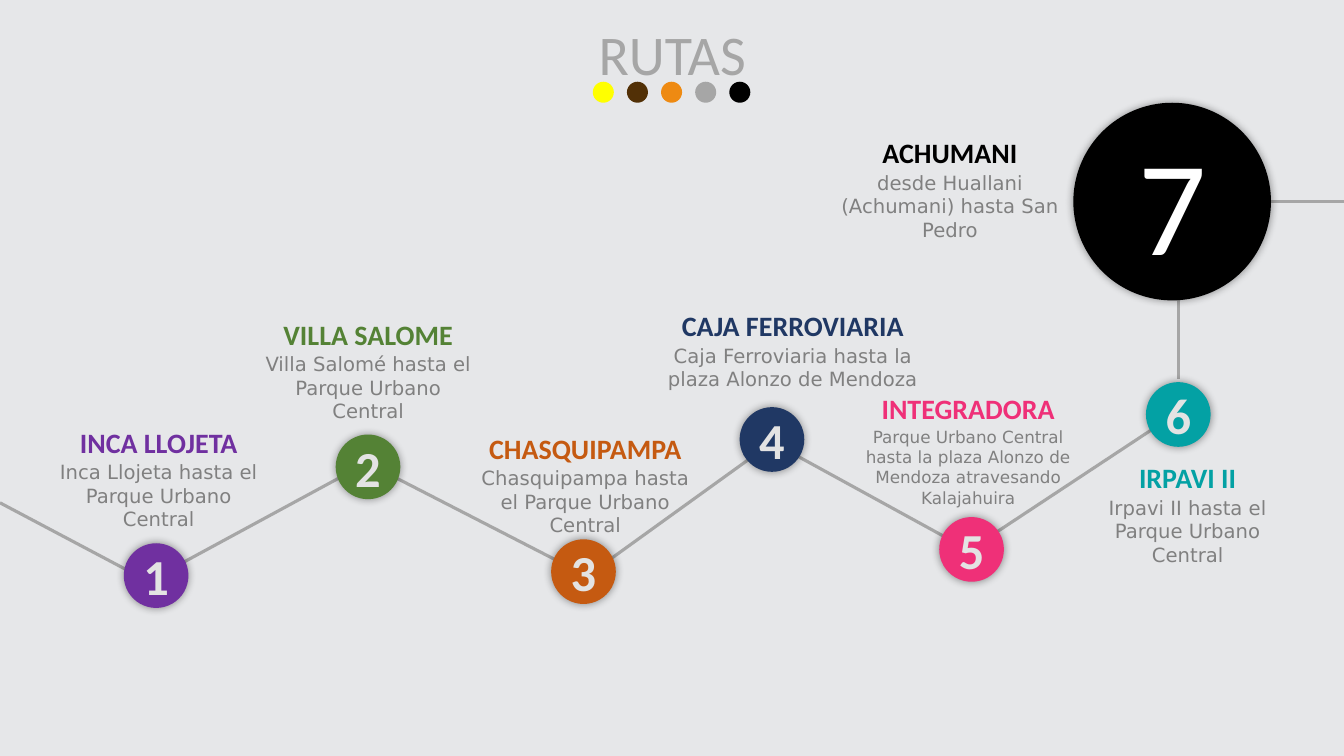
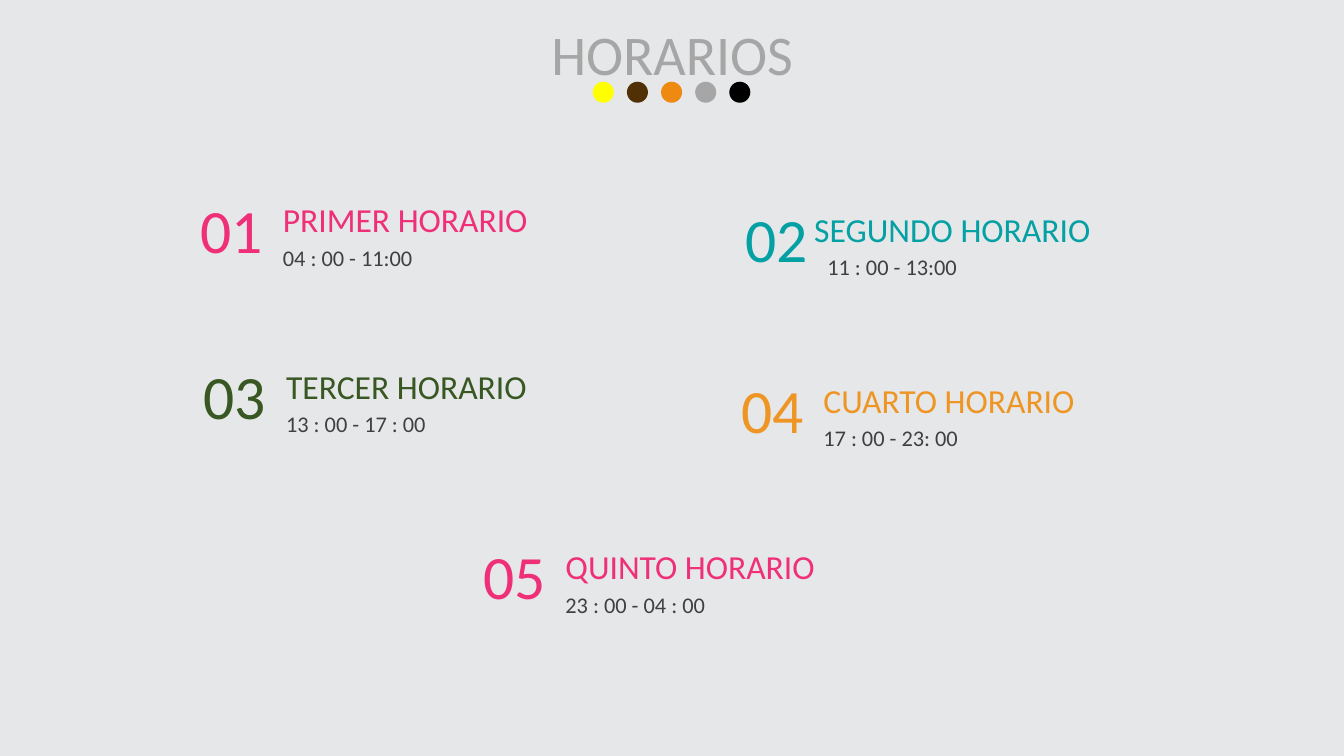
"""Build the two slides with the routes and the timetable."""
import pptx
import pptx.dml.color
import pptx.enum.shapes
import pptx.enum.text
import pptx.oxml
import pptx.oxml.ns
import pptx.oxml.xmlchemy
import pptx.util

Cm = pptx.util.Cm
Pt = pptx.util.Pt
ALIGN = pptx.enum.text.PP_ALIGN

COLORS = {
    "background": "E6E7E9", "gray": "A6A6A6", "body": "808080", "time": "404040",
    "number": "E3E3E3", "white": "FFFFFF", "black": "000000", "yellow": "FFFF00",
    "brown": "523006", "orange": "EE8A12", "amber": "EE9524", "purple": "7030A0",
    "green": "548235", "forest": "385723", "rust": "C55A11", "navy": "203864",
    "pink": "EF3078", "teal": "03A1A4",
}
DOTS = ["yellow", "brown", "orange", "gray", "black"]
SHADOW = (
    '<a:outerShdw xmlns:a="http://schemas.openxmlformats.org/drawingml/2006/main" '
    'blurRad="76200" dist="0" algn="ctr" rotWithShape="0">'
    '<a:srgbClr val="000000"><a:alpha val="40000"/></a:srgbClr></a:outerShdw>'
)
LINES = [
    (29.69, 7.32, 29.69, 9.55), (3.76, 14.66, 0, 12.67),
    (14.91, 14.43, 19.28, 11.28), (24.38, 13.84, 19.38, 11.1),
    (24.84, 13.59, 29.49, 10.52), (14.63, 14.43, 9.88, 11.99),
    (4.14, 14.43, 9.07, 11.76), (32.03, 5.08, 33.87, 5.08),
]
STOPS = [
    ("purple", (3.12, 13.69), (1.04, 10.59, 5.92), "INCA LLOJETA",
     "Inca Llojeta hasta el Parque Urbano Central", 14),
    ("green", (8.46, 10.95), (6.32, 7.87, 5.92), "VILLA SALOME",
     "Villa Salomé hasta el Parque Urbano Central", 14),
    ("rust", (13.89, 13.59), (11.79, 10.74, 5.92), "CHASQUIPAMPA",
     "Chasquipampa hasta el Parque Urbano Central", 14),
    ("navy", (18.64, 10.26), (16.54, 7.65, 6.88), "CAJA FERROVIARIA",
     "Caja Ferroviaria hasta la plaza Alonzo de Mendoza", 14),
    ("pink", (23.67, 13.03), (21.44, 9.75, 5.92), "INTEGRADORA",
     "Parque Urbano Central hasta la plaza Alonzo de Mendoza atravesando Kalajahuira", 12),
    ("teal", (28.88, 9.63), (26.97, 11.48, 5.92), "IRPAVI II",
     "Irpavi II hasta el Parque Urbano Central", 14),
    ("black", (27.05, 2.59), (20.5, 3.3, 6.88), "ACHUMANI",
     "desde Huallani (Achumani) hasta San Pedro", 14),
]
TIMES = [
    ("pink", 4.34, 4.7, 2.54, "PRIMER HORARIO", "04 : 00 - 11:00"),
    ("teal", 18.06, 4.93, 2.21, "SEGUNDO HORARIO", "11 : 00 - 13:00"),
    ("forest", 4.42, 8.89, 2.54, "TERCER HORARIO", "13 : 00 - 17 : 00"),
    ("amber", 17.96, 9.25, 2.54, "CUARTO HORARIO", "17 : 00 - 23: 00"),
    ("pink", 11.46, 13.44, 2.54, "QUINTO HORARIO", "23 : 00 - 04 : 00"),
]


def rgb(name):
    return pptx.dml.color.RGBColor.from_string(COLORS[name])


class Deck:
    def __init__(self):
        self.prs = pptx.Presentation()
        self.prs.slide_width, self.prs.slide_height = Cm(33.87), Cm(19.05)
        fill = self.prs.slide_master.background.fill
        fill.solid()
        fill.fore_color.rgb = rgb("background")

    def new_slide(self):
        self.s = self.prs.slides.add_slide(self.prs.slide_layouts[6])

    def header(self, title):
        self.text(6.83, 0.36, 20.22, 1.96, title, 40, "gray", ALIGN.CENTER)
        for i, color in enumerate(DOTS):
            self.circle(14.94 + 0.86 * i, 2.06, 0.53, color)

    def add_styled_run(self, tf, text, size, color, align, bold=False, font="Calibri"):
        p = tf.paragraphs[0]
        p.alignment = align
        r = p.add_run()
        r.text = text
        r.font.name, r.font.size, r.font.bold = font, Pt(size), bold
        r.font.color.rgb = rgb(color)

    def text(self, x, y, w, h, text, size, color, align=ALIGN.LEFT, **style):
        tf = self.s.shapes.add_textbox(Cm(x), Cm(y), Cm(w), Cm(h)).text_frame
        tf.word_wrap = True
        tf.auto_size = pptx.enum.text.MSO_AUTO_SIZE.SHAPE_TO_FIT_TEXT
        self.add_styled_run(tf, text, size, color, align, **style)

    def circle(self, x, y, d, color):
        oval = pptx.enum.shapes.MSO_SHAPE.OVAL
        sp = self.s.shapes.add_shape(oval, Cm(x), Cm(y), Cm(d), Cm(d))
        sp.shadow.inherit = False
        sp.fill.solid()
        sp.fill.fore_color.rgb = rgb(color)
        sp.line.fill.background()
        return sp

    def badge(self, x, y, d, color, number, size, text_color, bold):
        sp = self.circle(x, y, d, color)
        effects = sp._element.spPr.find(pptx.oxml.ns.qn("a:effectLst"))
        effects.append(pptx.oxml.parse_xml(SHADOW))
        tf = sp.text_frame
        tf.margin_left = tf.margin_right = tf.margin_top = tf.margin_bottom = 0
        tf.vertical_anchor = pptx.enum.text.MSO_ANCHOR.MIDDLE
        tf.word_wrap = False
        self.add_styled_run(tf, str(number), size, text_color, ALIGN.CENTER, bold)

    def line(self, x1, y1, x2, y2):
        straight = pptx.enum.shapes.MSO_CONNECTOR.STRAIGHT
        cxn = self.s.shapes.add_connector(straight, Cm(x1), Cm(y1), Cm(x2), Cm(y2))
        cxn.line.color.rgb = rgb("gray")
        cxn.line.width = Pt(2.25)
        cxn._element.spPr.append(pptx.oxml.xmlchemy.OxmlElement("a:effectLst"))

    def label(self, x, y, w, color, name, route, size):
        self.text(x, y, w, 1.12, name, 20, color, ALIGN.CENTER, bold=True)
        self.text(x, y + 0.88, w, 2.06, route, size, "body", ALIGN.CENTER, font="DejaVu Sans")

    def time_slot(self, number, color, x, y, gap, name, hours):
        self.text(x + gap, y + 0.2, 7.8, 1.27, name, 24, color)
        self.text(x + 2.54, y + 1.32, 6.91, 0.94, hours, 16, "time")
        self.text(x, y, 2.54, 2.13, f"{number:02}", 44, color, ALIGN.RIGHT)


def main():
    deck = Deck()
    deck.new_slide()
    for ends in LINES:
        deck.line(*ends)
    deck.header("RUTAS")
    for number, (color, spot, place, name, route, size) in enumerate(STOPS, 1):
        last = number == len(STOPS)
        look = (4.98, color, number, 96, "white", False) if last else (
            1.63, color, number, 36, "number", True)
        deck.badge(*spot, *look)
        deck.label(*place, color, name, route, size)

    deck.new_slide()
    deck.header("HORARIOS")
    for number, slot in enumerate(TIMES, 1):
        deck.time_slot(number, *slot)
    deck.prs.save("out.pptx")


if __name__ == "__main__":
    main()
